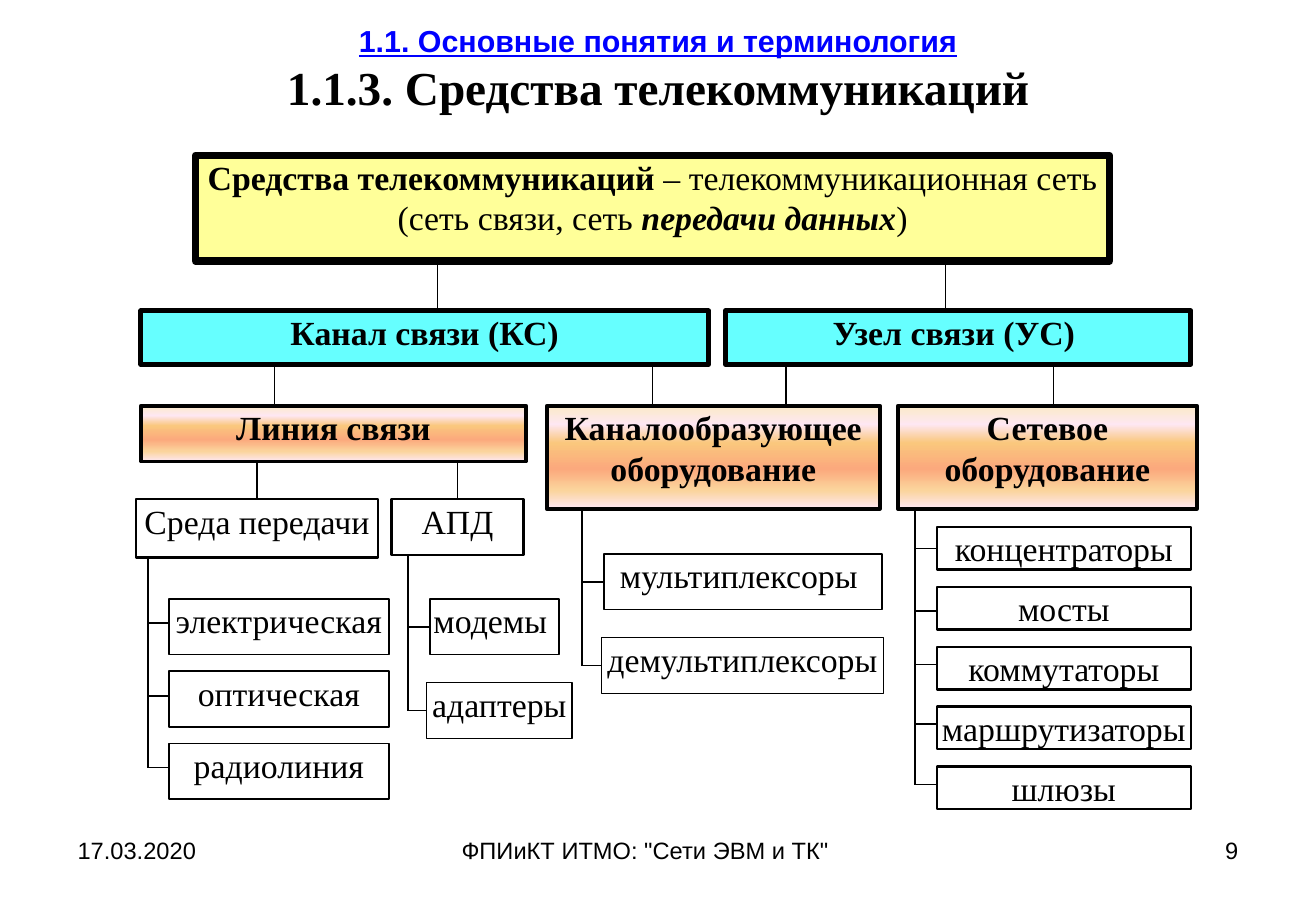
import pptx
import pptx.util
from lxml import etree
from pptx.dml.color import RGBColor
from pptx.enum.shapes import MSO_CONNECTOR, MSO_SHAPE
from pptx.enum.text import MSO_ANCHOR, PP_ALIGN
from pptx.oxml.ns import qn
from pptx.util import Inches

BLACK = RGBColor(0x00, 0x00, 0x00)
BLUE = RGBColor(0x00, 0x00, 0xFF)
WHITE = RGBColor(0xFF, 0xFF, 0xFF)
YELLOW = RGBColor(0xFF, 0xFF, 0x99)
CYAN = RGBColor(0x66, 0xFF, 0xFF)
PEACH_STOPS = [
    (0, RGBColor(0xFB, 0xEA, 0xC7)), (18, RGBColor(0xFE, 0xE7, 0xF2)),
    (36, RGBColor(0xFA, 0xC7, 0x7D)), (61, RGBColor(0xFB, 0xA9, 0x7D)),
    (82, RGBColor(0xFB, 0xD4, 0x9C)), (100, RGBColor(0xFE, 0xE7, 0xF2)),
]

# Content: text boxes as (place, alignment, anchor, paragraphs of (text, format))
SMALL = {"name": "Arial", "size": 14}
HEADING = [
    ("1.1. Основные понятия и терминология",
     {"name": "Arial", "size": 18, "bold": True, "underline": True, "color": BLUE}),
    ("1.1.3. Средства телекоммуникаций",
     {"name": "Times New Roman", "size": 28, "bold": True}),
]
TEXTS = [
    ((0.54, -0.06, 9.75, 1.25), PP_ALIGN.CENTER, MSO_ANCHOR.MIDDLE, HEADING),
    ((0.54, 6.83, 2.53, 0.52), PP_ALIGN.LEFT, MSO_ANCHOR.TOP, [("17.03.2020", SMALL)]),
    ((3.7, 6.83, 3.43, 0.52), PP_ALIGN.LEFT, MSO_ANCHOR.TOP,
     [('ФПИиКТ ИТМО: "Сети ЭВМ и ТК"', SMALL)]),
    ((7.76, 6.83, 2.53, 0.52), PP_ALIGN.RIGHT, MSO_ANCHOR.TOP, [("9", SMALL)]),
]

# Box styles: fill, line width, bold text, anchor
STYLES = {
    "root": (YELLOW, 4.5, True, MSO_ANCHOR.TOP),
    "branch": (CYAN, 3, True, MSO_ANCHOR.TOP),
    "group": (PEACH_STOPS, 2.25, True, MSO_ANCHOR.TOP),
    "part": (None, 1.5, False, MSO_ANCHOR.TOP),
    "leaf": (None, 1, False, MSO_ANCHOR.TOP),
    "device": (WHITE, 1.5, False, MSO_ANCHOR.MIDDLE),
}
# Upper boxes: style, place, runs
NODES = {
    "means": ("root", (1.61, 1.28, 7.52, 0.87), [
        ("Средства телекоммуникаций", {}),
        (" – телекоммуникационная сеть (сеть связи, сеть ", {"bold": False}),
        ("передачи данных", {"italic": True}),
        (")", {"bold": False})]),
    "channel": ("branch", (1.16, 2.56, 4.67, 0.44), [("Канал связи (КС)", {})]),
    "hub": ("branch", (5.97, 2.56, 3.83, 0.44), [("Узел связи (УС) ", {})]),
    "line": ("group", (1.16, 3.34, 3.17, 0.46), [("Линия связи", {})]),
    "channelling": ("group", (4.5, 3.34, 2.74, 0.85),
                    [("Каналообразующее оборудование", {})]),
    "network": ("group", (7.39, 3.34, 2.46, 0.85), [("Сетевое оборудование", {})]),
    "medium": ("part", (1.12, 4.11, 1.99, 0.48), [("Среда передачи", {})]),
    "modem": ("part", (3.22, 4.11, 1.09, 0.46), [("АПД", {})]),
}
# Vertical links: parent, child, x
LINKS = [
    ("means", "channel", 3.6), ("means", "hub", 7.78),
    ("channel", "line", 2.26), ("channel", "channelling", 5.37),
    ("hub", "channelling", 6.47), ("hub", "network", 8.67),
    ("line", "medium", 2.12), ("line", "modem", 3.77),
]
# Columns: parent, style, trunk x, first top, last top, height,
# leaves of (text, left, width, tick y)
COLUMNS = [
    ("medium", "leaf", 1.22, 4.93, 6.12, 0.46, [
        ("электрическая", 1.39, 1.81, 5.13), ("оптическая", 1.39, 1.81, 5.73),
        ("радиолиния", 1.39, 1.81, 6.32)]),
    ("modem", "leaf", 3.36, 4.93, 5.62, 0.46, [
        ("модемы ", 3.54, 1.06, 5.16), ("адаптеры ", 3.51, 1.2, 5.84)]),
    ("channelling", "leaf", 4.79, 4.56, 5.25, 0.46, [
        ("мультиплексоры ", 4.97, 2.29, 4.79), ("демультиплексоры ", 4.95, 2.32, 5.47)]),
    ("network", "device", 7.53, 4.34, 6.31, 0.35, [
        ("концентраторы", 7.71, 2.09, 4.51), ("мосты", 7.71, 2.09, 5.03),
        ("коммутаторы", 7.71, 2.09, 5.47), ("маршрутизаторы", 7.71, 2.09, 5.96),
        ("шлюзы", 7.71, 2.09, 6.46)]),
]
JOIN_GAP = 0.02

deck = pptx.Presentation()
deck.slide_width, deck.slide_height = Inches(10.83), Inches(7.5)
page = deck.slides.add_slide(deck.slide_layouts[6])


def add_span(para, text, formats):
    span = para.add_run()
    span.text = text
    values = {"color": BLACK, **formats}
    span.font.color.rgb = values.pop("color")
    values["size"] = pptx.util.Pt(values["size"])
    for name, value in values.items():
        setattr(span.font, name, value)


def fill_gradient(box, stops):
    box.fill.gradient()
    box.fill.gradient_angle = 270
    stop_list = next(box._element.spPr.iter(qn("a:gsLst")))
    for old_stop in list(stop_list):
        stop_list.remove(old_stop)
    for percent, color in stops:
        stop = etree.SubElement(stop_list, qn("a:gs"), pos=str(percent * 1000))
        etree.SubElement(stop, qn("a:srgbClr"), val=str(color))


def add_box(style, place, spans):
    fill, width, bold, anchor = STYLES[style]
    box = page.shapes.add_shape(MSO_SHAPE.RECTANGLE, *map(Inches, place))
    box.shadow.inherit = False
    if fill is None:
        box.fill.background()
    elif isinstance(fill, list):
        fill_gradient(box, fill)
    else:
        box.fill.solid()
        box.fill.fore_color.rgb = fill
    box.line.color.rgb = BLACK
    box.line.width = pptx.util.Pt(width)
    frame = box.text_frame
    frame.word_wrap, frame.vertical_anchor = True, anchor
    frame.margin_left = frame.margin_right = Inches(0.02)
    frame.margin_top = frame.margin_bottom = Inches(0.01)
    para = frame.paragraphs[0]
    para.alignment = PP_ALIGN.CENTER
    for text, formats in spans:
        add_span(para, text, {"name": "Times New Roman", "size": 20, "bold": bold, **formats})
    return box


def add_line(start, end):
    line = page.shapes.add_connector(MSO_CONNECTOR.STRAIGHT, *map(Inches, start + end))
    line.line.color.rgb = BLACK
    line.line.width = pptx.util.Pt(1)
    etree.SubElement(line._element.spPr, qn("a:effectLst"))
    return line


# Heading and footer
for place, alignment, anchor, lines in TEXTS:
    frame = page.shapes.add_textbox(*map(Inches, place)).text_frame
    frame.word_wrap, frame.vertical_anchor = True, anchor
    for index, (text, formats) in enumerate(lines):
        para = frame.add_paragraph() if index else frame.paragraphs[0]
        para.alignment = alignment
        add_span(para, text, formats)

# Upper boxes and the links between them
boxes = {name: add_box(*node) for name, node in NODES.items()}
bottoms = {name: place[1] + place[3] for name, (_, place, _) in NODES.items()}
for parent, child, x in LINKS:
    left, top, width, _ = NODES[child][1]
    middle = left + width / 2
    joined = abs(x - middle) <= JOIN_GAP
    x = middle if joined else x
    link = add_line((x, bottoms[parent]), (x, top))
    if joined:
        link.end_connect(boxes[child], 0)

# Leaf columns, each hanging on a trunk
for parent, style, trunk, first, last, height, leaves in COLUMNS:
    step = (last - first) / (len(leaves) - 1)
    for index, (text, left, width, tick) in enumerate(leaves):
        top = first + index * step
        leaf = add_box(style, (left, top, width, height), [(text, {})])
        middle = top + height / 2
        joined = abs(tick - middle) <= JOIN_GAP
        tick = middle if joined else tick
        branch = add_line((trunk, tick), (left, tick))
        if joined:
            branch.end_connect(leaf, 1)
    add_line((trunk, bottoms[parent]), (trunk, tick))

deck.save("out.pptx")
